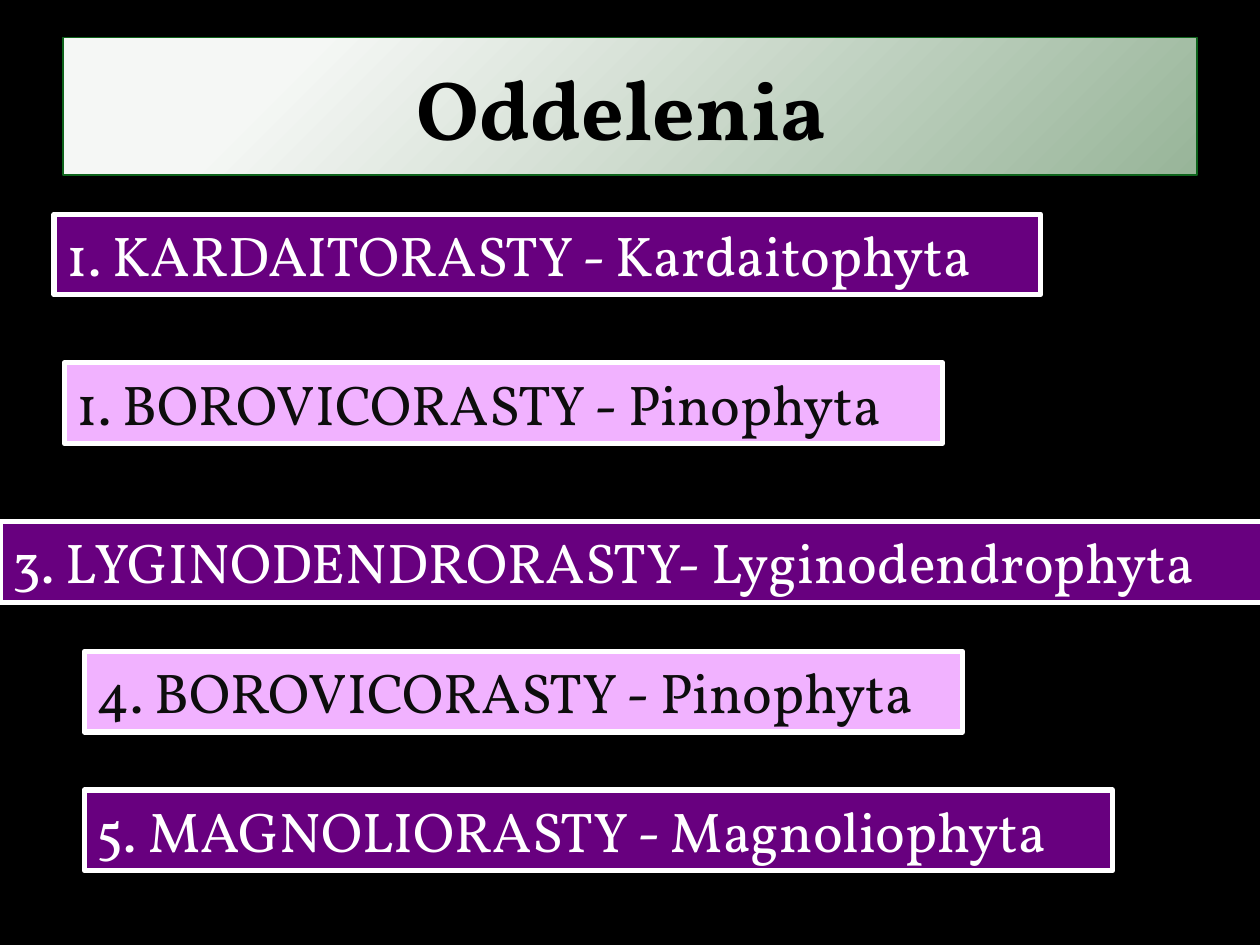
"""Builds the slide "Oddelenia": a title bar above five plant divisions."""
from pptx import Presentation
from pptx.dml.color import RGBColor as RGB
from pptx.enum.shapes import MSO_SHAPE as SHAPE
from pptx.enum.text import MSO_ANCHOR as ANCHOR, PP_ALIGN as ALIGN
from pptx.util import Inches, Pt

TITLE = "Oddelenia "
DIVISIONS = [
    ("1. KARDAITORASTY - Kardaitophyta", 0.43, 1.7, 7.83),
    ("1. BOROVICORASTY - Pinophyta", 0.51, 2.88, 6.97),
    ("3. LYGINODENDRORASTY- Lyginodendrophyta", 0, 4.14, 10.21),
    ("4. BOROVICORASTY - Pinophyta", 0.67, 5.17, 6.97),
    ("5. MAGNOLIORASTY - Magnoliophyta", 0.67, 6.27, 8.16),
]
BAR_HEIGHT = 0.64
FONT = "Vollkorn"
BLACK, WHITE = RGB(0, 0, 0), RGB(255, 255, 255)
INK = RGB(0x0D, 0x0D, 0x0D)
PURPLE, LILAC = RGB(0x68, 0x00, 0x7F), RGB(0xF1, 0xB2, 0xFF)
PALE, SAGE, GREEN = RGB(0xF5, 0xF7, 0xF5), RGB(0x98, 0xB5, 0x99), RGB(0x0E, 0x64, 0x1C)
BAR_STYLES = [(PURPLE, WHITE), (LILAC, INK)]


def add_bar(slide, text, box, size, color, border, width, align, anchor):
    sp = slide.shapes.add_shape(SHAPE.RECTANGLE, *map(Inches, box))
    sp.shadow.inherit = False
    sp.line.color.rgb = border
    sp.line.width = Pt(width)
    tf = sp.text_frame
    tf.word_wrap = True
    tf.vertical_anchor = anchor
    p = tf.paragraphs[0]
    p.text = text
    p.alignment = align
    p.font.name, p.font.size, p.font.color.rgb = FONT, Pt(size), color
    return sp


def main():
    prs = Presentation()
    prs.slide_width, prs.slide_height = Inches(10), Inches(7.5)
    slide = prs.slides.add_slide(prs.slide_layouts[6])
    slide.background.fill.solid()
    slide.background.fill.fore_color.rgb = BLACK

    title = add_bar(slide, TITLE, (0.5, 0.3, 9, 1.09), 48, BLACK,
                    GREEN, 0.75, ALIGN.CENTER, ANCHOR.MIDDLE)
    title.text_frame.paragraphs[0].font.bold = True
    title.fill.gradient()
    title.fill.gradient_angle = 315
    for stop, (position, color) in zip(title.fill.gradient_stops, [(0.2, PALE), (1, SAGE)]):
        stop.position, stop.color.rgb = position, color

    for i, (text, left, top, width) in enumerate(DIVISIONS):
        fill, color = BAR_STYLES[i % 2]
        bar = add_bar(slide, text, (left, top, width, BAR_HEIGHT), 32, color,
                      WHITE, 3, ALIGN.LEFT, ANCHOR.TOP)
        bar.fill.solid()
        bar.fill.fore_color.rgb = fill

    prs.save("out.pptx")


if __name__ == "__main__":
    main()
